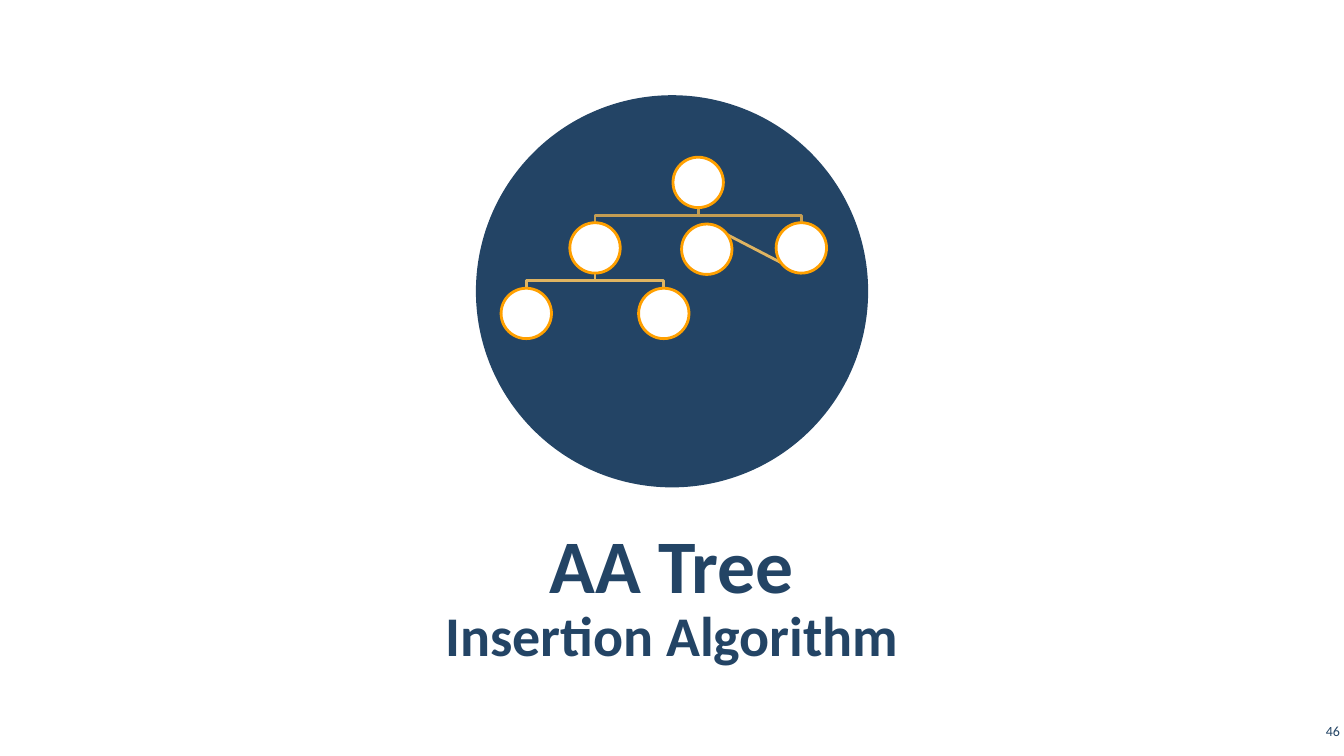
from dataclasses import dataclass

from lxml import etree
from pptx import Presentation
from pptx import util as u
from pptx.dml.color import RGBColor
from pptx.enum import shapes, text
from pptx.oxml import ns

WIDE, HIGH = 13.33, 7.5
NAVY, WHITE, AMBER = "234465", "FFFFFF", "FFA000"
GOLD, TAN = "DFB461", "C39D53"
LEFT, TOP = 5.22, 1.81  # centre of the tree grid's first cell
COL, ROW = 0.341, 0.65
NODE = 0.5


@dataclass(frozen=True)
class Node:
    col: float
    row: float

    @property
    def x(self) -> float:
        return LEFT + self.col * COL

    @property
    def y(self) -> float:
        return TOP + self.row * ROW


@dataclass(frozen=True)
class Edge:
    above: Node
    below: Node
    hue: str


ROOT, INNER, RIGHT = Node(5, 0), Node(2, 1), Node(8, 1)
LOW, MID, LOOSE = Node(0, 2), Node(4, 2), Node(5.25, 1.02)
NODES = [ROOT, INNER, LOW, MID, RIGHT, LOOSE]
EDGES = [
    Edge(ROOT, RIGHT, TAN),
    Edge(INNER, MID, GOLD),
    Edge(INNER, LOW, GOLD),
    Edge(ROOT, INNER, TAN),
]


def rgb(code: str) -> RGBColor:
    return RGBColor.from_string(code)


def stroke(shape, hue: str) -> None:
    shape.line.color.rgb = rgb(hue)
    shape.line.width = u.Pt(2)


def disc(parent, x: float, y: float, size: float, fill: str, edge: str = "") -> None:
    """Draw a circle centred on x, y."""
    box = [u.Inches(v) for v in (x - size / 2, y - size / 2, size, size)]
    shape = parent.add_shape(shapes.MSO_SHAPE.OVAL, *box)
    shape.shadow.inherit = False
    shape.fill.solid()
    shape.fill.fore_color.rgb = rgb(fill)
    if edge:
        stroke(shape, edge)
    else:
        shape.line.fill.background()


def elbow(parent, edge: Edge) -> None:
    """Draw a stepped line from a node's bottom to its child's top."""
    top, end = edge.above.y + NODE / 2, edge.below.y - NODE / 2
    half = (top + end) / 2
    path = parent.build_freeform(
        u.Inches(edge.above.x), u.Inches(top))
    turns = [(edge.above.x, half), (edge.below.x, half), (edge.below.x, end)]
    path.add_line_segments(
        [(u.Inches(x), u.Inches(y)) for x, y in turns], close=False)
    shape = path.convert_to_shape()
    shape.shadow.inherit = False
    shape.fill.background()
    stroke(shape, edge.hue)


def slant(parent, start: Node, end: Node, hue: str) -> None:
    """Draw a straight line from one node's bottom to another's top."""
    ends = (start.x, start.y + NODE / 2, end.x, end.y - NODE / 2)
    line = parent.add_connector(
        shapes.MSO_CONNECTOR.STRAIGHT, *[u.Inches(v) for v in ends])
    stroke(line, hue)
    etree.SubElement(line._element.spPr, ns.qn("a:effectLst"))


def write(parent, words: str, box: tuple[float, float, float, float], *,
          size: int, bold: bool = False, align=text.PP_ALIGN.CENTER,
          side: float = 0.12, gap: float = 1.0) -> None:
    """Write one line of text in a box given as left, top, width, height."""
    frame = parent.add_textbox(*[u.Inches(v) for v in box]).text_frame
    frame.word_wrap = True
    frame.vertical_anchor = text.MSO_ANCHOR.MIDDLE
    frame.margin_left = frame.margin_right = u.Inches(side)
    frame.margin_top = frame.margin_bottom = u.Inches(0.04)
    para = frame.paragraphs[0]
    para.alignment, para.line_spacing = align, gap
    run = para.add_run()
    run.text = words
    font = run.font
    font.name, font.size, font.bold = "Calibri", u.Pt(size), bold
    font.color.rgb = rgb(NAVY)


def main() -> None:
    deck = Presentation()
    deck.slide_width, deck.slide_height = u.Inches(WIDE), u.Inches(HIGH)
    page = deck.slides.add_slide(deck.slide_layouts[6]).shapes

    disc(page, WIDE / 2, 2.89, 3.89, NAVY)
    edge, span = WIDE * 0.05, WIDE * 0.9
    write(page, "AA Tree", (edge, 5.15, span, 0.84),
          size=54, bold=True, gap=1.05)
    write(page, "Insertion Algorithm", (edge, 6, span, 0.55),
          size=40, bold=True, gap=1.05)
    write(page, "46", (WIDE - 0.47, 7.14, 0.47, 0.22),
          size=10, align=text.PP_ALIGN.RIGHT, side=0.04)

    tree = page.add_group_shape().shapes
    slant(tree, RIGHT, LOOSE, GOLD)
    for link in EDGES:
        elbow(tree, link)
    for node in NODES:
        disc(tree, node.x, node.y, NODE, WHITE, AMBER)

    deck.save("out.pptx")


if __name__ == "__main__":
    main()
